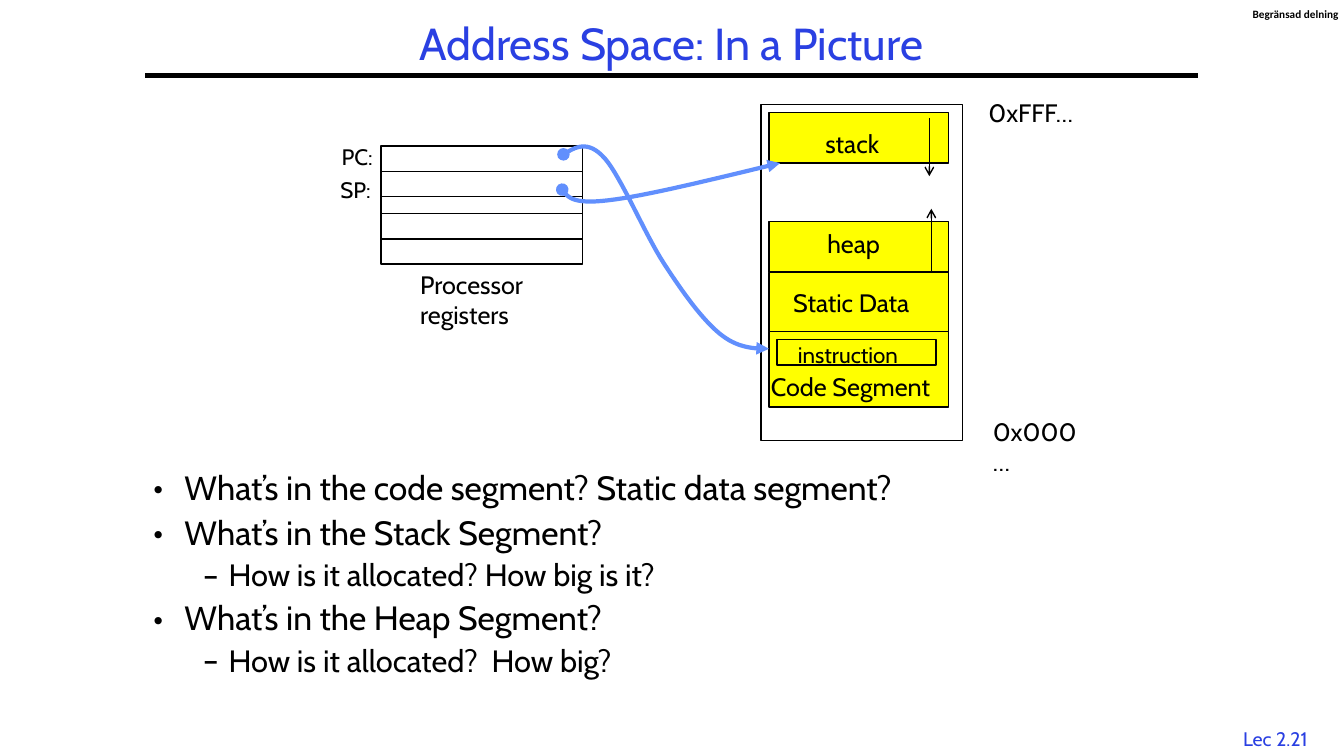
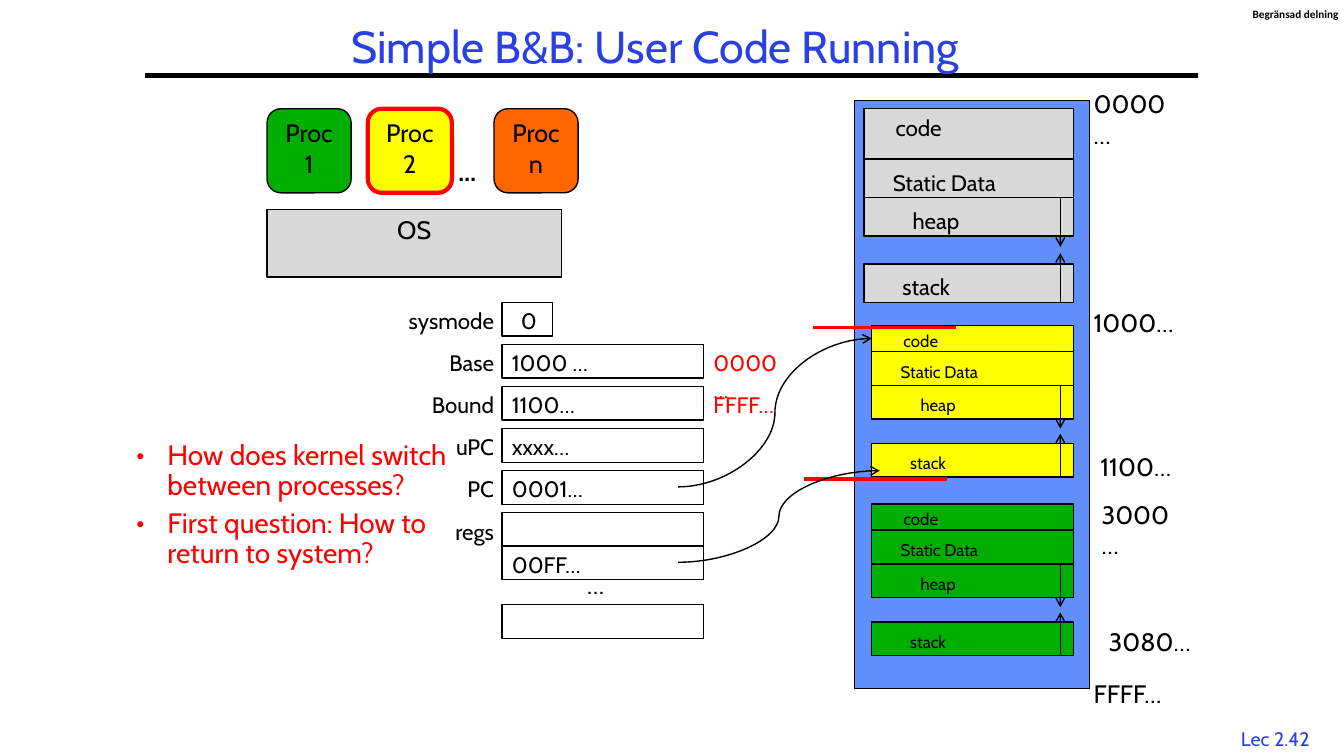
from dataclasses import dataclass
from typing import NamedTuple, Optional

from lxml.etree import SubElement
from pptx import Presentation
from pptx.dml.color import RGBColor as RGB
from pptx.enum.shapes import MSO_CONNECTOR as CONN, MSO_SHAPE as SHAPE
from pptx.enum.text import MSO_ANCHOR as ANCHOR, PP_ALIGN as ALIGN
from pptx.oxml.ns import qn
from pptx.util import Cm, Pt


@dataclass(frozen=True)
class Theme:
    font: str = "Cabin"
    label_font: str = "Calibri"
    ink: RGB = RGB(0, 0, 0)
    title: RGB = RGB(0x2A, 0x40, 0xE2)
    red: RGB = RGB(0xFF, 0, 0)
    blue: RGB = RGB(0x61, 0x8F, 0xFD)
    yellow: RGB = RGB(0xFF, 0xFF, 0)
    green: RGB = RGB(0, 0xAE, 0)
    orange: RGB = RGB(0xFF, 0x66, 0)
    grey: RGB = RGB(0xD9, 0xD9, 0xD9)
    title_size: int = 32
    text: int = 18
    small: int = 16
    tiny: int = 12
    footer: int = 14
    mark: int = 8
    thin: float = 1
    medium: float = 2.25
    thick: float = 3


T = Theme()


class Box(NamedTuple):
    x: float
    y: float
    w: float
    h: float


class Label(NamedTuple):
    text: str
    x: float
    y: float
    w: float


class Segment(NamedTuple):
    y: float
    h: float
    label: Label


class Bullet(NamedTuple):
    text: str
    size: int
    level: int = 0


class Proc(NamedTuple):
    name: str
    x: float
    fill: RGB
    line: RGB = T.ink
    width: float = T.thin


class Register(NamedTuple):
    name: str
    value: str = ""
    offset: str = ""
    w: float = 5.08
    value_dx: float = 0


class Part(NamedTuple):
    name: str
    dx: float
    dy: float
    width_per_pt: float


class Memory(NamedTuple):
    x: float
    y: float
    w: float
    code_h: float
    row_h: float
    gap: float
    arrow: float
    fill: RGB
    size: int


PARTS = (
    Part("code", 0.55, 0, 0.08),
    Part("Static Data", 0.48, 0.12, 0.18),
    Part("heap", 0.98, 0.12, 0.08),
    Part("stack", 0.72, 0.12, 0.09),
)
ARROW_X = 26.72


def style(tf, size: int, color: RGB = T.ink, bold: bool = False,
          align: ALIGN = ALIGN.LEFT, font: str = T.font) -> None:
    for p in tf.paragraphs:
        p.alignment = align
        for r in p.runs:
            r.font.name, r.font.size, r.font.bold = font, Pt(size), bold
            r.font.color.rgb = color


def add_text(s, label: Label, size: int = T.text, color: RGB = T.ink,
             bold: bool = False, align: ALIGN = ALIGN.LEFT):
    height = 0.25 + 0.043 * size
    sp = s.shapes.add_textbox(Cm(label.x), Cm(label.y), Cm(label.w), Cm(height))
    tf = sp.text_frame
    tf.word_wrap = True
    tf.text = label.text
    style(tf, size, color, bold, align)
    return sp


def add_box(s, box: Box, fill: Optional[RGB] = None, line: RGB = T.ink,
            width: float = T.thin, text: str = "", kind: SHAPE = SHAPE.RECTANGLE):
    sp = s.shapes.add_shape(kind, *map(Cm, box))
    sp.shadow.inherit = False
    if fill is None:
        sp.fill.background()
    else:
        sp.fill.solid()
        sp.fill.fore_color.rgb = fill
    sp.line.color.rgb, sp.line.width = line, Pt(width)
    if text:
        tf = sp.text_frame
        tf.text, tf.vertical_anchor = text, ANCHOR.TOP
        style(tf, T.text, align=ALIGN.CENTER)
    return sp


def set_ends(sp, head: str = "", tail: str = "") -> None:
    ln = sp.line._get_or_add_ln()
    for tag, kind in (("a:headEnd", head), ("a:tailEnd", tail)):
        if kind:
            SubElement(ln, qn(tag), type=kind)


def add_line(s, start: tuple[float, float], end: tuple[float, float],
             color: RGB = T.ink, width: float = T.thin, tail: str = "",
             kind: CONN = CONN.STRAIGHT) -> None:
    sp = s.shapes.add_connector(kind, *map(Cm, start + end))
    sp.line.color.rgb, sp.line.width = color, Pt(width)
    set_ends(sp, tail=tail)
    SubElement(sp._element.spPr, qn("a:effectLst"))


def add_curve(s, start: tuple[float, float], *beziers: tuple[float, ...]) -> None:
    steps, points, a = 16, [], start
    for x1, y1, x2, y2, x3, y3 in beziers:
        knots = (a, (x1, y1), (x2, y2), (x3, y3))
        for i in range(1, steps + 1):
            t = i / steps
            u = 1 - t
            weights = (u ** 3, 3 * u * u * t, 3 * u * t * t, t ** 3)
            points.append(tuple(
                Cm(sum(w * k[axis] for w, k in zip(weights, knots))) for axis in (0, 1)))
        a = (x3, y3)
    builder = s.shapes.build_freeform(Cm(start[0]), Cm(start[1]))
    builder.add_line_segments(points, close=False)
    sp = builder.convert_to_shape()
    sp.shadow.inherit = False
    sp.fill.background()
    sp.line.color.rgb, sp.line.width = T.blue, Pt(T.thick)
    set_ends(sp, "oval", "triangle")


def add_bullets(s, box: Box, bullets: tuple[Bullet, ...], color: RGB = T.ink) -> None:
    tf = s.shapes.add_textbox(*map(Cm, box)).text_frame
    tf.word_wrap = True
    tf.text = "\n".join(b.text for b in bullets)
    for i, (p, b) in enumerate(zip(tf.paragraphs, bullets)):
        left, hang, char = ((0.79, 0.79, "•"), (1.9, 0.64, "–"))[b.level]
        p.level = b.level
        pPr = p._p.get_or_add_pPr()
        pPr.set("marL", str(Cm(left)))
        pPr.set("indent", str(-Cm(hang)))
        SubElement(pPr, qn("a:buFont"), typeface=T.font)
        SubElement(pPr, qn("a:buChar"), char=char)
        p.line_spacing = 0.9
        if i:
            p.space_before = Pt(b.size * 0.25)
    style(tf, T.text, color)
    for p, b in zip(tf.paragraphs, bullets):
        p.runs[0].font.size = Pt(b.size)


def add_slide(prs, title: str, title_box: Box, number: str):
    s = prs.slides.add_slide(prs.slide_layouts[6])
    add_text(s, Label(f"Lec {number}", 30.91, 18.19, 2.46), T.footer, T.title,
             align=ALIGN.CENTER)
    add_line(s, (3.66, 1.9), (30.2, 1.9), width=T.thick)
    tf = s.shapes.add_textbox(Cm(31.57), Cm(0.18), Cm(2.28), Cm(0.33)).text_frame
    tf.margin_left = tf.margin_right = tf.margin_top = tf.margin_bottom = 0
    tf.word_wrap = True
    tf.text = "Begränsad delning"
    style(tf, T.mark, bold=True, font=T.label_font)
    tf = s.shapes.add_textbox(*map(Cm, title_box)).text_frame
    tf.word_wrap, tf.vertical_anchor = True, ANCHOR.MIDDLE
    tf.text = title
    tf.paragraphs[0].line_spacing = 0.9
    style(tf, T.title_size, T.title, align=ALIGN.CENTER)
    return s


def add_memory(s, m: Memory) -> None:
    data_y = m.y + m.code_h
    heap_y = data_y + m.row_h
    stack_y = heap_y + m.row_h + m.gap
    tops = (m.y, data_y, heap_y, stack_y)
    for part, y in zip(PARTS, tops):
        h = m.code_h if part is PARTS[0] else m.row_h
        add_box(s, Box(m.x, y, m.w, h), m.fill)
        width = 0.51 + m.size * part.width_per_pt
        add_text(s, Label(part.name, m.x + part.dx, y + part.dy, width), m.size)
    bottom = stack_y + m.row_h
    add_line(s, (ARROW_X, bottom), (ARROW_X, bottom - m.arrow), tail="arrow")
    add_line(s, (ARROW_X, heap_y), (ARROW_X, heap_y + m.arrow), tail="arrow")


def address_space(prs) -> None:
    s = add_slide(prs, "Address Space: In a Picture", Box(3.66, 0.43, 26.52, 1.47), "2.21")
    for y, h in ((3.68, 2.97), (4.32, 0.64), (5.38, 0.64)):
        add_box(s, Box(9.6, y, 5.08, h))
    for label in (Label("PC:", 8.36, 3.48, 1.47), Label("SP:", 8.33, 4.32, 1.42)):
        add_text(s, label, T.small)
    add_box(s, Box(19.18, 2.64, 5.08, 8.46))
    for label in (Label("Processor\nregisters", 10.34, 6.65, 3.4),
                  Label("0x000…", 24.77, 10.36, 2.9),
                  Label("0xFFF…", 24.66, 2.34, 3)):
        add_text(s, label)
    for seg in (Segment(8.36, 1.9, Label("Code Segment", 19.18, 9.22, 4.78)),
                Segment(6.86, 1.5, Label("Static Data", 19.74, 7.11, 3.66)),
                Segment(5.59, 1.27, Label("heap", 20.6, 5.64, 1.93)),
                Segment(2.84, 1.27, Label("stack", 20.55, 3.1, 2.01))):
        add_box(s, Box(19.38, seg.y, 4.52, seg.h), T.yellow)
        add_text(s, seg.label)
    add_line(s, (23.47, 6.86), (23.47, 5.26), tail="arrow")
    add_line(s, (23.42, 2.97), (23.42, 4.44), tail="arrow")
    add_box(s, Box(19.58, 8.56, 4.01, 0.64))
    add_text(s, Label("instruction", 19.86, 8.46, 3.38), T.small)
    add_bullets(s, Box(3.61, 11.76, 25.45, 6.65), (
        Bullet("What’s in the code segment? Static data segment?", 24),
        Bullet("What’s in the Stack Segment?", 24),
        Bullet("How is it allocated? How big is it?", 22, 1),
        Bullet("What’s in the Heap Segment?", 24),
        Bullet("How is it allocated?  How big?", 22, 1)))
    add_curve(s, (14.2, 3.89), (14.5, 3.71, 14.81, 3.51, 15.24, 3.99),
              (15.65, 4.45, 16.26, 5.92, 16.74, 6.65),
              (17.22, 7.39, 17.7, 8.05, 18.14, 8.41),
              (18.57, 8.76, 18.97, 8.79, 19.38, 8.79))
    add_curve(s, (14.17, 4.78), (14.3, 4.95, 14.4, 5.16, 15.32, 5.05),
              (16.23, 4.95, 17.96, 4.52, 19.66, 4.11))


def user_code(prs) -> None:
    s = add_slide(prs, "Simple B&B: User Code Running", Box(5.51, 0.2, 22.02, 2.06), "2.42")
    add_box(s, Box(6.73, 5.28, 7.42, 1.7), T.grey, text="OS")
    for proc in (Proc("Proc 1", 6.73, T.green),
                 Proc("Proc 2", 9.27, T.yellow, T.red, T.thick),
                 Proc("Proc n", 12.45, T.orange)):
        add_box(s, Box(proc.x, 2.74, 2.12, 2.12), proc.fill, proc.line, proc.width,
                proc.name, SHAPE.ROUNDED_RECTANGLE)
    add_text(s, Label("…", 11.3, 3.81, 1.14), bold=True)
    add_box(s, Box(21.54, 2.54, 5.92, 14.81), T.blue)
    add_memory(s, Memory(21.77, 2.74, 5.28, 1.27, 0.97, 0.7, 1.24, T.grey, T.small))
    for y, fill in ((8.2, T.yellow), (12.7, T.green)):
        add_memory(s, Memory(21.97, y, 5.08, 0.66, 0.85, 0.61, 1.09, fill, T.tiny))
    for text, x, y in (("0000…", 27.31, 2.11), ("FFFF…", 27.31, 16.97),
                       ("1000…", 27.31, 7.62), ("1100…", 27.48, 11.25),
                       ("3000…", 27.51, 12.45), ("3080…", 27.69, 15.67)):
        add_text(s, Label(text, x, y, 2.6))
    reg_x, reg_y, reg_h, pitch = 12.65, 7.62, 0.85, 1.06
    for i, reg in enumerate((Register("sysmode", "0", w=1.27, value_dx=0.23),
                             Register("Base", "1000 …", "0000…"),
                             Register("Bound", "1100…", "FFFF…"),
                             Register("uPC", "xxxx…"),
                             Register("PC", "0001…"),
                             Register("regs"))):
        y = reg_y + i * pitch
        add_box(s, Box(reg_x, y, reg.w, reg_h))
        add_text(s, Label(reg.name, 9.9, y, 2.8), T.small, align=ALIGN.RIGHT)
        if reg.value:
            add_text(s, Label(reg.value, reg_x + reg.value_dx, y, 2.54), T.small)
        if reg.offset:
            add_text(s, Label(reg.offset, reg_x + reg.w, y, 2.34), T.small, T.red)
    for y in (13.76, 15.24):
        add_box(s, Box(reg_x, y, 5.08, reg_h))
    add_text(s, Label("00FF…", reg_x, 13.76, 2.54), T.small)
    add_text(s, Label("…", 14.55, 14.22, 1.14))
    for x, y in ((20.5, 8.26), (20.27, 12.07)):
        add_line(s, (x, y), (x + 3.6, y), T.red, T.medium)
    for start, end in (((17.09, 12.27), (21.97, 8.53)), ((17.09, 14.17), (22.17, 11.86))):
        add_line(s, start, end, tail="arrow", kind=CONN.CURVE)
    add_bullets(s, Box(3.18, 11, 8.53, 2.97), (
        Bullet("How does kernel switch between processes?", 20),
        Bullet("First question: How to return to system?", 20)), T.red)


def main() -> None:
    prs = Presentation()
    prs.slide_width, prs.slide_height = Cm(33.87), Cm(19.05)
    address_space(prs)
    user_code(prs)
    prs.save("out.pptx")


if __name__ == "__main__":
    main()
